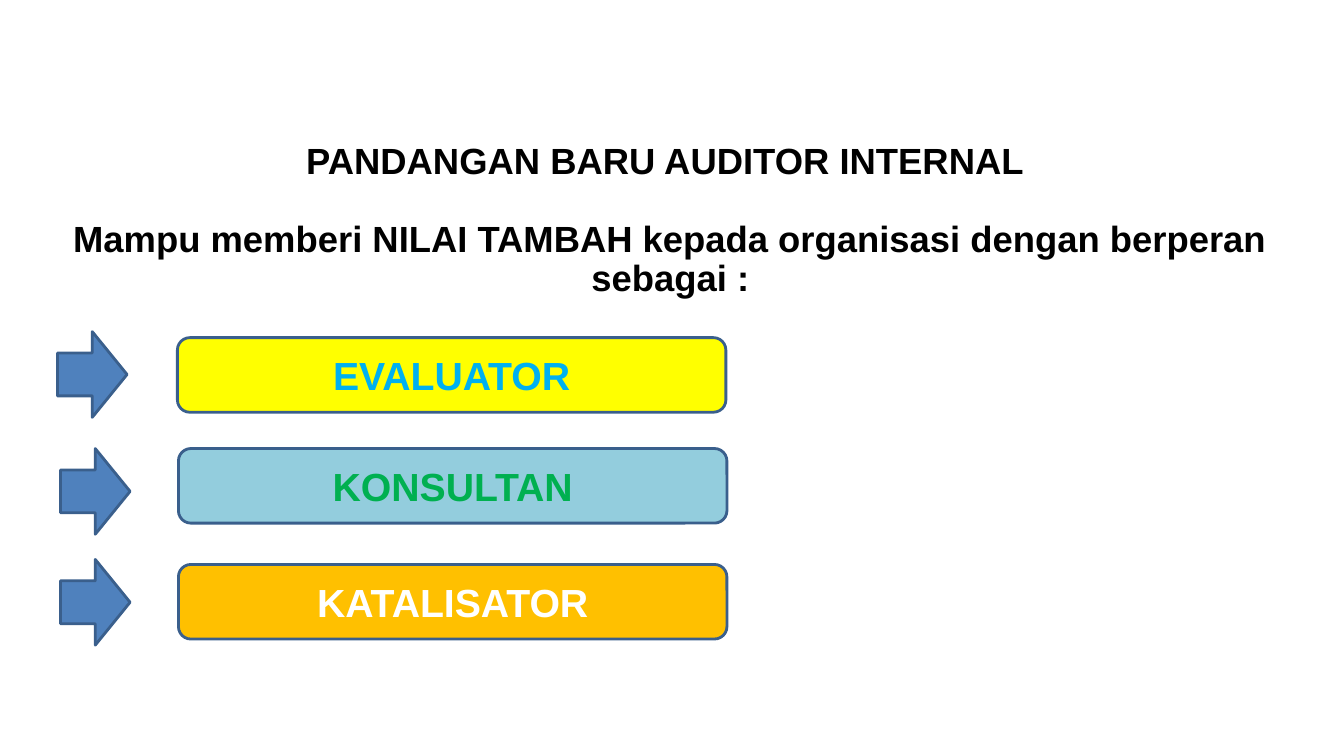
from pptx import Presentation
from pptx.dml.color import RGBColor
from pptx.enum.shapes import MSO_SHAPE
from pptx.enum.text import MSO_ANCHOR, PP_ALIGN
from pptx.oxml.ns import qn
from pptx.util import Inches, Pt

EDGE = "3A5F8C"
ARROW = "4F81BD"

# label, fill, text colour, arrow left and top, box left and top
ROLES = [
    ("EVALUATOR", "FFFF00", "00B0F0", (0.57, 3.29), (1.76, 3.35)),
    ("KONSULTAN", "93CDDD", "00B050", (0.6, 4.45), (1.77, 4.45)),
    ("KATALISATOR", "FFC000", "FFFFFF", (0.6, 5.55), (1.77, 5.6)),
]


def color(code):
    return RGBColor.from_string(code)


def style(para, size, code):
    para.alignment = PP_ALIGN.CENTER
    for run in para.runs:
        font = run.font
        font.name = "Arial"
        font.size = Pt(size)
        font.bold = True
        font.color.rgb = color(code)


def heading(holder, text, left, top, height):
    holder.left, holder.top = Inches(left), Inches(top)
    holder.width, holder.height = Inches(12.96), Inches(height)
    frame = holder.text_frame
    frame.text = text
    frame.word_wrap = True
    frame.vertical_anchor = MSO_ANCHOR.TOP
    para = frame.paragraphs[0]
    # No bullet or hanging indent
    props = para._p.get_or_add_pPr()
    props.set("marL", "0")
    props.set("indent", "0")
    props.append(props.makeelement(qn("a:buNone"), {}))
    para.line_spacing = 0.9
    para.space_before = Pt(0)
    style(para, 26, "000000")


def block(slide, kind, spot, size, fill):
    left, top = spot
    width, height = size
    shape = slide.shapes.add_shape(
        kind, Inches(left), Inches(top), Inches(width), Inches(height))
    shape.shadow.inherit = False
    shape.fill.solid()
    shape.fill.fore_color.rgb = color(fill)
    shape.line.color.rgb = color(EDGE)
    shape.line.width = Pt(2)
    return shape


def label(shape, text, code):
    frame = shape.text_frame
    frame.text = text
    frame.vertical_anchor = MSO_ANCHOR.MIDDLE
    style(frame.paragraphs[0], 28, code)


def main():
    deck = Presentation()
    deck.slide_width, deck.slide_height = Inches(13.33), Inches(7.5)
    slide = deck.slides.add_slide(deck.slide_layouts[1])

    # Title and lead sentence
    title, body = slide.placeholders
    heading(title, "PANDANGAN BARU AUDITOR INTERNAL", 0.12, 1.37, 0.55)
    heading(body, "Mampu memberi NILAI TAMBAH kepada organisasi dengan "
            "berperan sebagai :", 0.17, 2.14, 0.95)

    # Arrows, each with its role box
    for text, fill, ink, arrow, box in ROLES:
        block(slide, MSO_SHAPE.RIGHT_ARROW, arrow, (0.69, 0.85), ARROW)
        role = block(slide, MSO_SHAPE.ROUNDED_RECTANGLE, box, (5.44, 0.74), fill)
        label(role, text, ink)

    deck.save("out.pptx")


if __name__ == "__main__":
    main()
